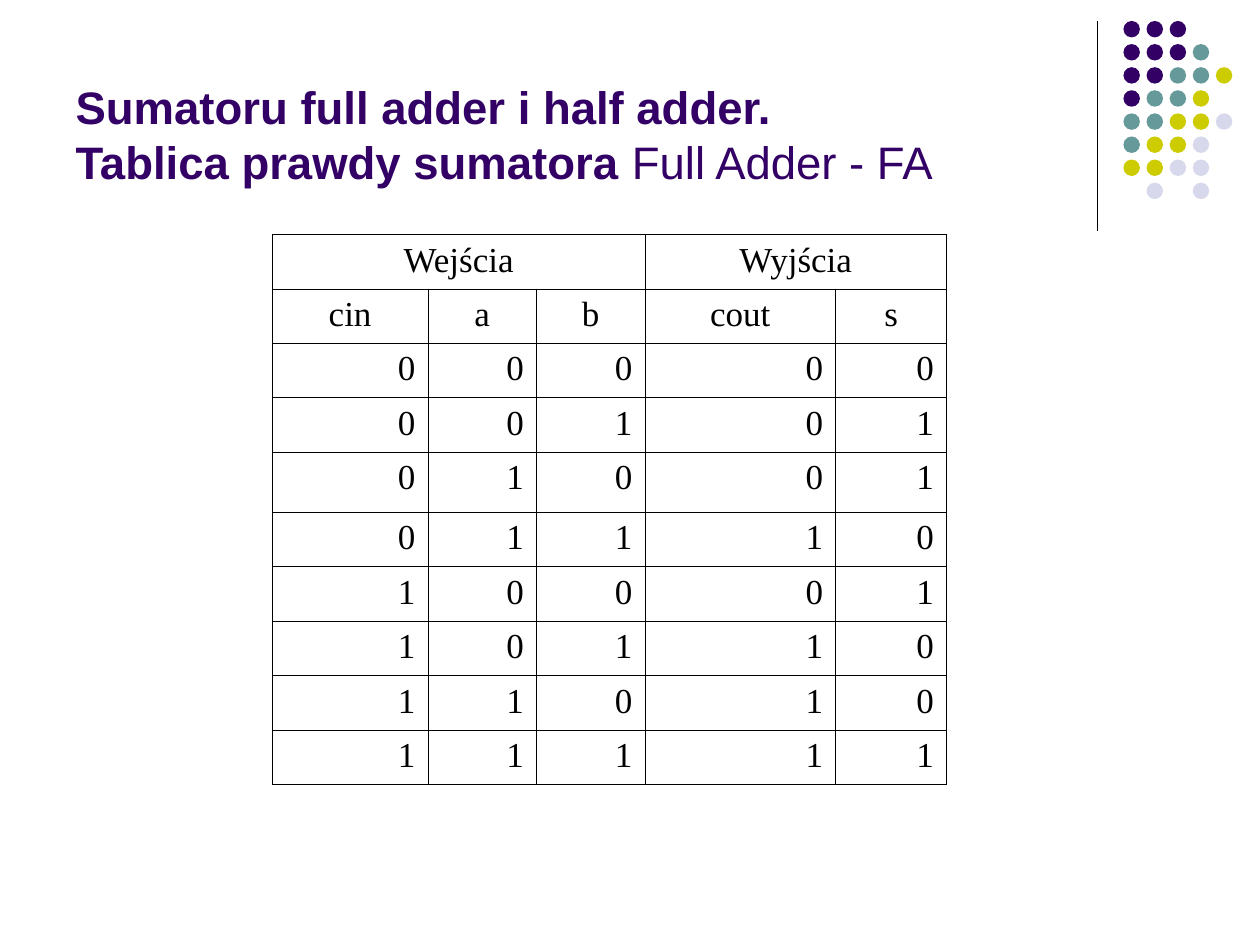
from itertools import product

from pptx import Presentation
from pptx.dml.color import RGBColor
from pptx.enum import shapes, text
from pptx.oxml import parse_xml
from pptx.oxml.ns import nsdecls
from pptx.util import Pt

COLORS = {"ink": "000000", "plum": "330066", "teal": "669999",
          "lime": "CCCC00", "mist": "D8D8EC"}
ALIGN = text.PP_ALIGN


class Deck:
    head = "Arial"
    body = "Times New Roman"

    def __init__(self, wide, high):
        self.prs = Presentation()
        self.prs.slide_width, self.prs.slide_height = Pt(wide), Pt(high)
        self.slide = self.prs.slides.add_slide(self.prs.slide_layouts[5])

    def color(self, name):
        return RGBColor.from_string(COLORS[name])

    def style(self, font, name, size, color):
        font.name, font.size = name, Pt(size)
        font.color.rgb = self.color(color)

    def title(self, box, lines, size):
        """Lines hold (words, bold) runs and are split by line breaks."""
        shape = self.slide.shapes.title
        shape.left, shape.top, shape.width, shape.height = map(Pt, box)
        frame = shape.text_frame
        frame.auto_size = text.MSO_AUTO_SIZE.NONE
        frame.vertical_anchor = text.MSO_ANCHOR.BOTTOM
        para = frame.paragraphs[0]
        para.alignment = ALIGN.LEFT
        self.style(para.font, self.head, size, "plum")
        for num, line in enumerate(lines):
            if num:
                para.add_line_break()
            for words, bold in line:
                run = para.add_run()
                run.text, run.font.bold = words, bold

    def line(self, x, top, end, width):
        rule = self.slide.shapes.add_connector(
            shapes.MSO_CONNECTOR.STRAIGHT, Pt(x), Pt(top), Pt(x), Pt(end))
        rule.line.width = Pt(width)
        rule.line.color.rgb = self.color("ink")
        rule._element.spPr.append(
            parse_xml(f"<a:effectLst {nsdecls('a')}/>"))

    def dots(self, left, top, size, step, rows):
        """Each letter is the first letter of a color; a space is a gap."""
        names = {name[0]: name for name in COLORS}
        group = self.slide.shapes.add_group_shape()
        for r, row in enumerate(rows):
            for c, key in enumerate(row):
                if key == " ":
                    continue
                dot = group.shapes.add_shape(
                    shapes.MSO_SHAPE.OVAL, Pt(left + c * step),
                    Pt(top + r * step), Pt(size), Pt(size))
                dot.shadow.inherit = False
                dot.fill.solid()
                dot.fill.fore_color.rgb = self.color(names[key])
                dot.line.fill.background()

    def cell(self, cell, words, align):
        cell.fill.background()
        para = cell.text_frame.paragraphs[0]
        para.text, para.alignment = words, align
        self.style(para.font, self.body, 20, "ink")
        props = cell._tc.get_or_add_tcPr()
        for num, side in enumerate(("lnL", "lnR", "lnT", "lnB")):
            props.insert(num, parse_xml(
                f'<a:{side} {nsdecls("a")} w="{Pt(0.45)}"><a:solidFill>'
                f'<a:srgbClr val="{COLORS["ink"]}"/></a:solidFill></a:{side}>'))

    def table(self, left, top, cols, rows, data, spans):
        frame = self.slide.shapes.add_table(
            len(rows), len(cols), Pt(left), Pt(top),
            Pt(sum(cols)), Pt(sum(rows)))
        grid = frame.table
        grid.first_row = grid.horz_banding = False
        for col, wide in zip(grid.columns, cols):
            col.width = Pt(wide)
        for row, high in zip(grid.rows, rows):
            row.height = Pt(high)
        for r, row in enumerate(data):
            align = ALIGN.CENTER if r < 2 else ALIGN.RIGHT
            for c, words in enumerate(row):
                self.cell(grid.cell(r, c), str(words), align)
        for first, last in spans:
            grid.cell(0, first).merge(grid.cell(0, last))


def main():
    deck = Deck(720, 540)

    # Corner ornament
    deck.line(627, 12, 132, 0.75)
    deck.dots(642, 12, 9.4, 13.2, [
        "ppp", "pppt", "ppttl", "pttl", "ttllm", "tllm", "llmm", " m m"])

    # Title
    deck.title((36, 9.4, 594, 102), [
        [("Sumatoru full adder i half adder.", True)],
        [("Tablica prawdy sumatora ", True), ("Full Adder - FA", False)],
    ], 26)

    # Truth table: carry out and sum follow from the three inputs
    data = [["Wejścia", "", "", "Wyjścia", ""], ["cin", "a", "b", "cout", "s"]]
    for bits in product((0, 1), repeat=3):
        data.append([*bits, sum(bits) // 2, sum(bits) % 2])
    rows = [31.1] * len(data)
    rows[4] = 34.4
    deck.table(155.6, 134, [89, 62, 62, 109, 63.3], rows, data,
               [(0, 2), (3, 4)])

    deck.prs.save("out.pptx")


if __name__ == "__main__":
    main()
